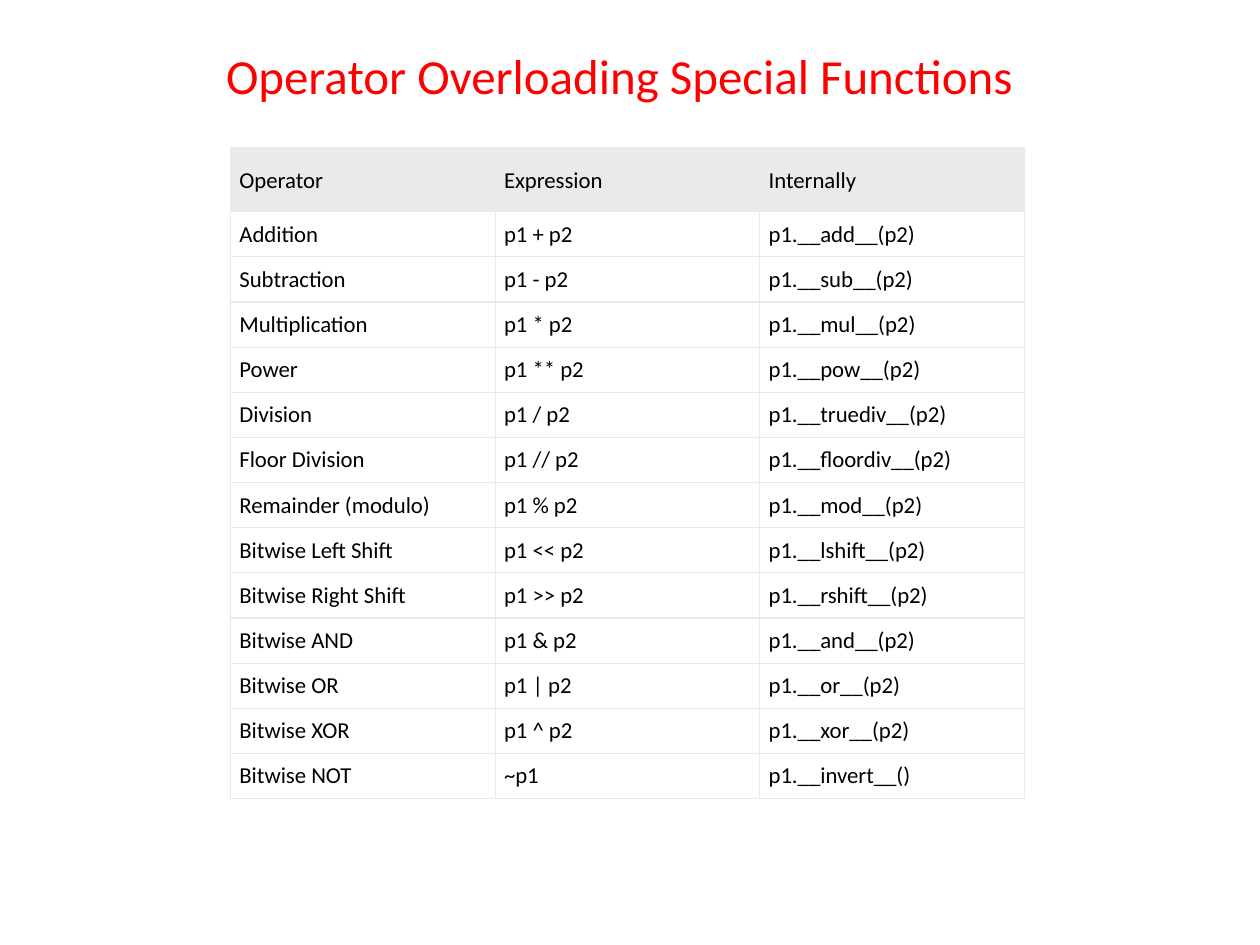
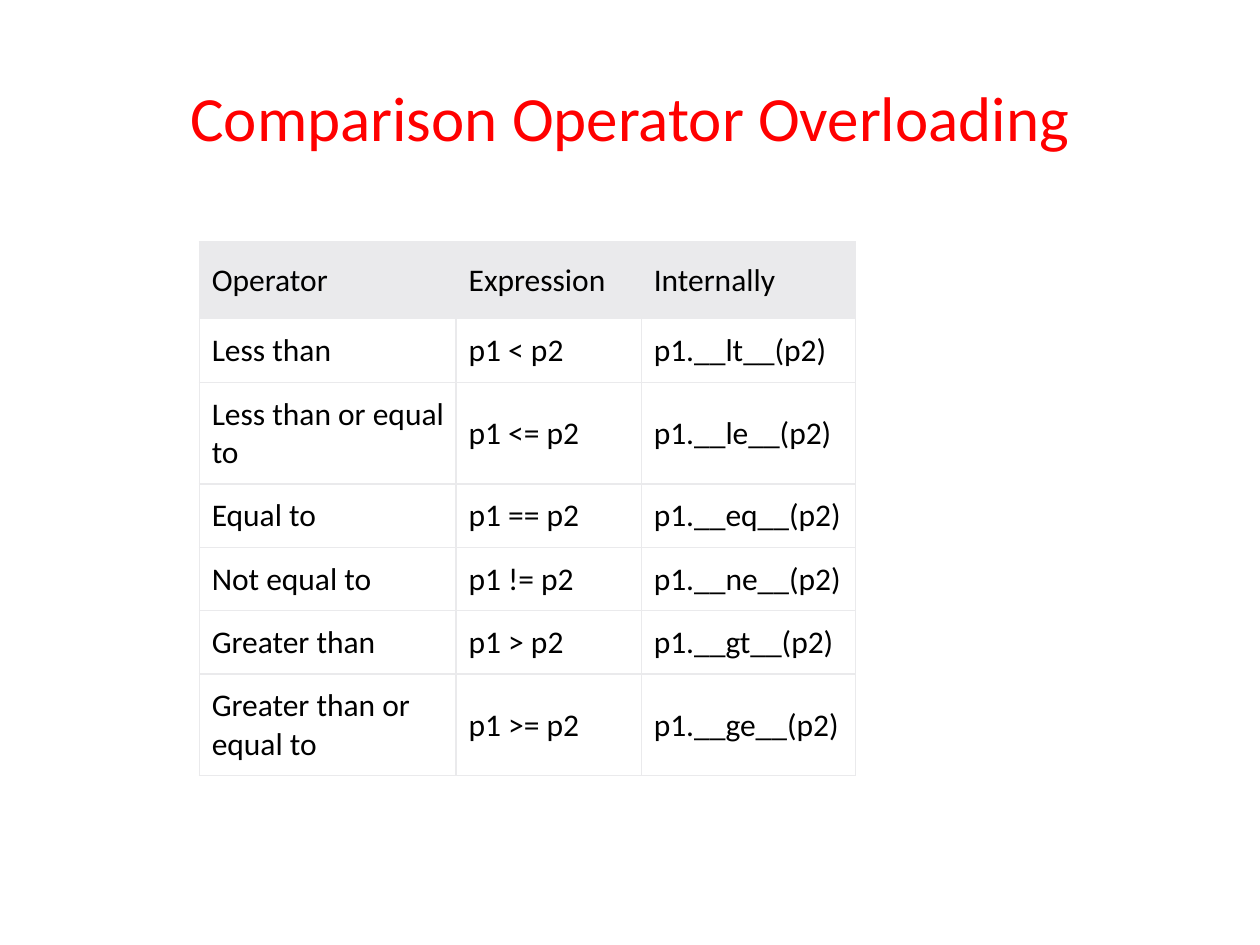
"""Build two slides of Python operator overloading tables."""
from dataclasses import dataclass

from lxml import etree
from pptx import Presentation
from pptx import util as u
from pptx.dml.color import RGBColor
from pptx.enum import text

PX = 2540
NS = "http://schemas.openxmlformats.org/drawingml/2006/main"
HEADS = ("Operator", "Expression", "Internally")

MATH = (
    ("Addition", "+", "add"),
    ("Subtraction", "-", "sub"),
    ("Multiplication", "*", "mul"),
    ("Power", "**", "pow"),
    ("Division", "/", "truediv"),
    ("Floor Division", "//", "floordiv"),
    ("Remainder (modulo)", "%", "mod"),
    ("Bitwise Left Shift", "<<", "lshift"),
    ("Bitwise Right Shift", ">>", "rshift"),
    ("Bitwise AND", "&", "and"),
    ("Bitwise OR", "|", "or"),
    ("Bitwise XOR", "^", "xor"),
)
TESTS = (
    ("Less than", "<", "lt"),
    ("Less than or equal to", "<=", "le"),
    ("Equal to", "==", "eq"),
    ("Not equal to", "!=", "ne"),
    ("Greater than", ">", "gt"),
    ("Greater than or equal to", ">=", "ge"),
)


@dataclass(frozen=True)
class Theme:
    """Colours, font and type sizes."""
    font: str = "Calibri"
    title: str = "FF0000"
    ink: str = "000000"
    band: str = "EAEAEC"
    paper: str = "FFFFFF"
    rule: float = 0.75
    large: int = 36
    medium: int = 28
    body: int = 18
    small: int = 13


def px(n):
    """Turn px into EMU."""
    return u.Emu(n * PX)


def expand(ops):
    """Spell out each operator as a table row."""
    return [(label, f"p1 {op} p2", f"p1.__{name}__(p2)") for label, op, name in ops]


class Deck:
    """Hold the theme and the current slide."""

    def __init__(self, theme):
        """Start an empty deck."""
        self.theme = theme
        self.prs = Presentation()
        self.prs.slide_width, self.prs.slide_height = px(3600), px(2700)

    def page(self):
        """Add a blank slide."""
        self.slide = self.prs.slides.add_slide(self.prs.slide_layouts[6])

    def run(self, para, words, size, color):
        """Add one styled run."""
        run = para.add_run()
        run.text = words
        run.font.name = self.theme.font
        run.font.size = u.Pt(size)
        run.font.color.rgb = RGBColor.from_string(color)

    def title(self, words, box, size):
        """Add a centred title."""
        frame = self.slide.shapes.add_textbox(*map(px, box)).text_frame
        frame.word_wrap = True
        frame.vertical_anchor = text.MSO_ANCHOR.MIDDLE
        para = frame.paragraphs[0]
        para.alignment = text.PP_ALIGN.CENTER
        self.run(para, words, size, self.theme.title)

    def border(self, cell):
        """Rule all four sides of a cell."""
        props = cell._tc.get_or_add_tcPr()
        for side in "LRTB":
            line = etree.SubElement(props, f"{{{NS}}}ln{side}", w=str(u.Pt(self.theme.rule)))
            fill = etree.SubElement(line, f"{{{NS}}}solidFill")
            etree.SubElement(fill, f"{{{NS}}}srgbClr", val=self.theme.band)

    def cell(self, cell, words, size, pads, color):
        """Style and fill one table cell."""
        self.border(cell)
        cell.fill.solid()
        cell.fill.fore_color.rgb = RGBColor.from_string(color)
        cell.vertical_anchor = text.MSO_ANCHOR.MIDDLE
        cell.margin_left, cell.margin_top, cell.margin_right, cell.margin_bottom = map(px, pads)
        self.run(cell.text_frame.paragraphs[0], words, size, self.theme.ink)

    def table(self, rows, spot, cols, highs, size, head, body):
        """Add a table with a shaded head row."""
        rows = [HEADS, *rows]
        grid = self.slide.shapes.add_table(
            len(rows), len(cols), *map(px, (*spot, sum(cols), sum(highs)))).table
        grid.first_row = grid.horz_banding = False
        for col, wide in zip(grid.columns, cols):
            col.width = px(wide)
        for r, (row, high) in enumerate(zip(rows, highs)):
            grid.rows[r].height = px(high)
            pads, color = (body, self.theme.paper) if r else (head, self.theme.band)
            for c, words in enumerate(row):
                self.cell(grid.cell(r, c), words, size, pads, color)


def main():
    """Build both slides and save them."""
    theme = Theme()
    deck = Deck(theme)

    deck.page()
    deck.title("Operator Overloading Special Functions", (180, 119, 3179, 191), theme.medium)
    rows = expand(MATH) + [("Bitwise NOT", "~p1", "p1.__invert__()")]
    deck.table(rows, (659, 421), [756] * 3, [184] + [129] * len(rows), theme.small,
               head=(25, 40, 22, 36), body=(25, 25, 22, 24))

    deck.page()
    deck.title("Comparison Operator Overloading", (180, 108, 3240, 450), theme.large)
    deck.table(expand(TESTS), (569, 691), (734, 529, 612),
               [220] + [181, 291, 181, 181, 181, 291], theme.body,
               head=(36, 57, 28, 53), body=(36, 36, 28, 34))

    deck.prs.save("out.pptx")


if __name__ == "__main__":
    main()
